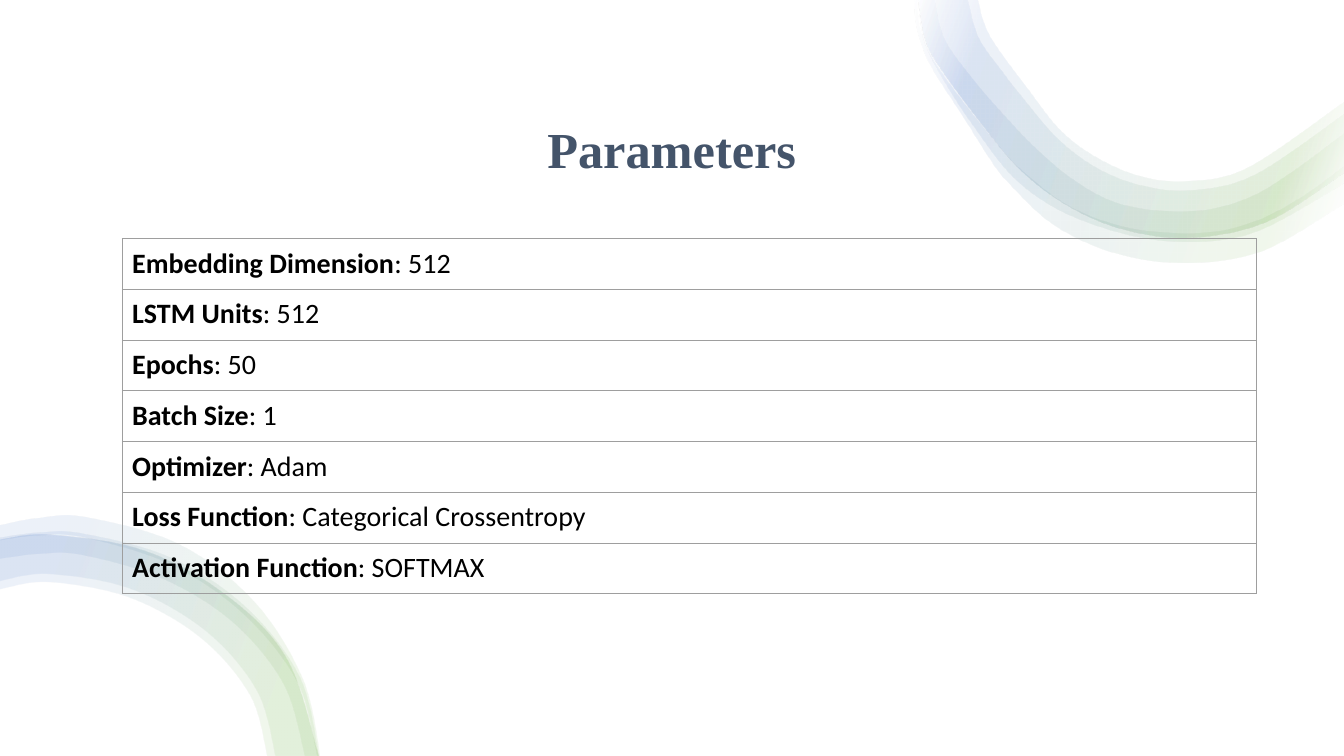
"""Build the Parameters slide: a table of model settings with two translucent ribbons."""
from dataclasses import dataclass

from lxml.etree import SubElement
from pptx import Presentation
from pptx.dml.color import RGBColor
from pptx.enum.shapes import MSO_SHAPE
from pptx.enum.text import MSO_ANCHOR, PP_ALIGN
from pptx.oxml.ns import qn
from pptx.util import Cm, Pt

TITLE = "Parameters"
PARAMETERS = [
    ("Embedding Dimension", "512"),
    ("LSTM Units", "512"),
    ("Epochs", "50"),
    ("Batch Size", "1"),
    ("Optimizer", "Adam"),
    ("Loss Function", "Categorical Crossentropy"),
    ("Activation Function", "SOFTMAX"),
]

TOP_OUTER = [
    (9.11, 0), (9.18, .4), (9.33, .68), (9.73, 1.22), (10.13, 1.69), (10.6, 2.04),
    (11.15, 2.27), (11.81, 2.35), (12.57, 2.19), (13.33, 1.71)]
BOTTOM_OUTER = [
    (0, 5.36), (.49, 5.31), (1.41, 5.46), (2.22, 5.89), (2.84, 6.53), (3.16, 7.5)]

TOP_RIBBONS = [
    ([(9.07, 0), (9.09, .25), (9.16, .5), (9.28, .74), (9.56, 1.17), (9.84, 1.61),
      (10.01, 1.82), (10.41, 2.2), (10.91, 2.46), (11.47, 2.59), (12.05, 2.59),
      (12.61, 2.45), (13.33, 2.02)],
     [(9.1, 0), (9.12, .25), (9.2, .49), (9.33, .71), (9.64, 1.12), (9.97, 1.52),
      (10.15, 1.7), (10.55, 2.01), (11.01, 2.21), (11.5, 2.3), (12.01, 2.3),
      (12.48, 2.18), (12.93, 1.94), (13.33, 1.65)]),
    ([(9.11, 0), (9.15, .34), (9.24, .58), (9.43, .91), (9.63, 1.21), (10.02, 1.72),
      (10.44, 2.04), (10.94, 2.25), (11.47, 2.37), (12.02, 2.38), (12.55, 2.25),
      (13.33, 1.81)],
     [(9.27, 0), (9.37, .39), (9.64, .77), (9.96, 1.14), (10.29, 1.48), (10.64, 1.77),
      (11.04, 1.99), (11.5, 2.08), (11.97, 2.07), (12.41, 1.94), (12.81, 1.7),
      (13.33, 1.32)]),
    (TOP_OUTER,
     [(9.6, 0), (9.71, .38), (9.95, .72), (10.13, .95), (10.49, 1.37), (10.88, 1.66),
      (11.31, 1.83), (11.81, 1.88), (12.44, 1.73), (13.33, 1.13)]),
    (TOP_OUTER,
     [(9.7, 0), (9.82, .36), (10.21, .9), (10.53, 1.3), (10.9, 1.57), (11.34, 1.75),
      (11.81, 1.79), (12.39, 1.65), (13.33, 1.01)]),
]
BOTTOM_RIBBONS = [
    (BOTTOM_OUTER,
     [(0, 5.85), (.49, 5.78), (1.28, 5.93), (1.99, 6.33), (2.48, 6.9), (2.65, 7.5)]),
    (BOTTOM_OUTER,
     [(0, 5.77), (.49, 5.7), (1.31, 5.85), (2.05, 6.27), (2.55, 6.86), (2.73, 7.5)]),
    ([(0, 5.34), (.38, 5.29), (.83, 5.3), (1.7, 5.54), (2.44, 6.03), (2.97, 6.72),
      (3.16, 7.5)],
     [(0, 5.55), (.39, 5.5), (.81, 5.51), (1.6, 5.74), (2.3, 6.17), (2.81, 6.79),
      (3.02, 7.5)]),
    ([(0, 5.21), (.37, 5.14), (.86, 5.13), (1.78, 5.4), (2.52, 5.97), (3, 6.74),
      (3.17, 7.5)],
     [(0, 5.36), (.39, 5.31), (.83, 5.33), (1.67, 5.59), (2.4, 6.08), (2.94, 6.76),
      (3.14, 7.5)]),
]


@dataclass(frozen=True)
class Theme:
    title_font: str = "Times New Roman"
    body_font: str = "Calibri"
    title_size: Pt = Pt(36)
    body_size: Pt = Pt(20)
    title_color: str = "44546A"
    text_color: str = "000000"
    background: str = "FFFFFF"
    border: str = "9E9E9E"
    border_width: Pt = Pt(0.75)
    top_stops: tuple = (
        (0, "FFFFFF"), (2, "FFFFFF"), (16, "70AD47"), (85, "4472C4"), (100, "FFFFFF"))
    bottom_stops: tuple = (
        (0, "70AD47"), (16, "70AD47"), (85, "4472C4"), (100, "4472C4"))
    ribbon_opacity: int = 10
    ribbon_angle: int = 200


THEME = Theme()


def style_font(font, name, size, color):
    font.name, font.size = name, size
    font.color.rgb = RGBColor.from_string(color)


def curve_edge(segments, knots):
    """Turn the straight segments between the knots into cubic curves."""
    padded = [knots[0], *knots, knots[-1]]
    for segment, a, b, c, d in zip(segments, padded, padded[1:], padded[2:], padded[3:]):
        leaving = [q + (r - p) / 6 for p, q, r in zip(a, b, c)]
        arriving = [r - (s - q) / 6 for q, r, s in zip(b, c, d)]
        curve = segment.makeelement(qn("a:cubicBezTo"), {})
        for x, y in (leaving, arriving, c):
            SubElement(curve, qn("a:pt"), x=str(round(x)), y=str(round(y)))
        segment.getparent().replace(segment, curve)


def add_ribbon(group, outer, inner, stops):
    outline = [(Cm(x * 2.54), Cm(y * 2.54)) for x, y in outer + inner[::-1]]
    builder = group.shapes.build_freeform(*outline[0])
    builder.add_line_segments(outline[1:], close=True)
    ribbon = builder.convert_to_shape()
    properties = ribbon._element.spPr
    knots = [(int(pt.get("x")), int(pt.get("y"))) for pt in properties.iter(qn("a:pt"))]
    segments = list(properties.iter(qn("a:lnTo")))
    turn = len(outer)
    curve_edge(segments[:turn - 1], knots[:turn])
    curve_edge(segments[turn:], knots[turn:turn + len(inner)])
    ribbon.shadow.inherit = False
    ribbon.line.fill.background()
    ribbon.fill.gradient()
    gradient = properties.find(qn("a:gradFill"))
    for child in list(gradient):
        gradient.remove(child)
    stop_list = SubElement(gradient, qn("a:gsLst"))
    for position, color in stops:
        stop = SubElement(stop_list, qn("a:gs"), pos=str(position * 1000))
        shade = SubElement(stop, qn("a:srgbClr"), val=color)
        SubElement(shade, qn("a:alpha"), val=str(THEME.ribbon_opacity * 1000))
    SubElement(gradient, qn("a:lin"), ang=str(THEME.ribbon_angle * 60000), scaled="0")


def border_cell(cell):
    properties = cell._tc.get_or_add_tcPr()
    for index, side in enumerate(("a:lnL", "a:lnR", "a:lnT", "a:lnB")):
        border = properties.makeelement(qn(side), {"w": str(THEME.border_width)})
        properties.insert(index, border)
        solid = SubElement(border, qn("a:solidFill"))
        SubElement(solid, qn("a:srgbClr"), val=THEME.border)


def add_backdrop(slide, width, height):
    backdrop = slide.shapes.add_shape(MSO_SHAPE.RECTANGLE, 0, 0, width, height)
    backdrop.shadow.inherit = False
    backdrop.fill.solid()
    backdrop.fill.fore_color.rgb = RGBColor.from_string(THEME.background)
    backdrop.line.fill.background()
    slide.shapes.title._element.addprevious(backdrop._element)


def add_title(slide):
    title = slide.shapes.title
    title.left, title.top, title.width, title.height = Cm(3.28), Cm(2.84), Cm(27.3), Cm(1.8)
    title.text_frame.text = TITLE
    title.text_frame.vertical_anchor = MSO_ANCHOR.BOTTOM
    heading = title.text_frame.paragraphs[0]
    heading.alignment, heading.line_spacing = PP_ALIGN.CENTER, 0.9
    style_font(heading.font, THEME.title_font, THEME.title_size, THEME.title_color)
    heading.font.bold = True


def add_parameters(slide):
    table = slide.shapes.add_table(
        len(PARAMETERS), 1, Cm(3.08), Cm(6.01), Cm(28.58),
        Cm(1.07) * len(PARAMETERS)).table
    table.first_row = table.horz_banding = False
    for row, (label, setting) in enumerate(PARAMETERS):
        cell = table.cell(row, 0)
        cell.margin_left = cell.margin_right = cell.margin_top = cell.margin_bottom = Cm(0.25)
        cell.fill.background()
        border_cell(cell)
        entry = cell.text_frame.paragraphs[0]
        entry.line_spacing = 0.9
        style_font(entry.font, THEME.body_font, THEME.body_size, THEME.text_color)
        for text, bold in ((label, True), (f": {setting}", False)):
            run = entry.add_run()
            run.text, run.font.bold = text, bold


def main():
    deck = Presentation()
    deck.slide_width, deck.slide_height = Cm(33.87), Cm(19.05)
    slide = deck.slides.add_slide(deck.slide_layouts[5])
    add_backdrop(slide, deck.slide_width, deck.slide_height)
    add_title(slide)
    for ribbons, stops in ((TOP_RIBBONS, THEME.top_stops),
                           (BOTTOM_RIBBONS, THEME.bottom_stops)):
        group = slide.shapes.add_group_shape()
        for outer, inner in ribbons:
            add_ribbon(group, outer, inner, stops)
    add_parameters(slide)
    deck.save("out.pptx")


if __name__ == "__main__":
    main()
